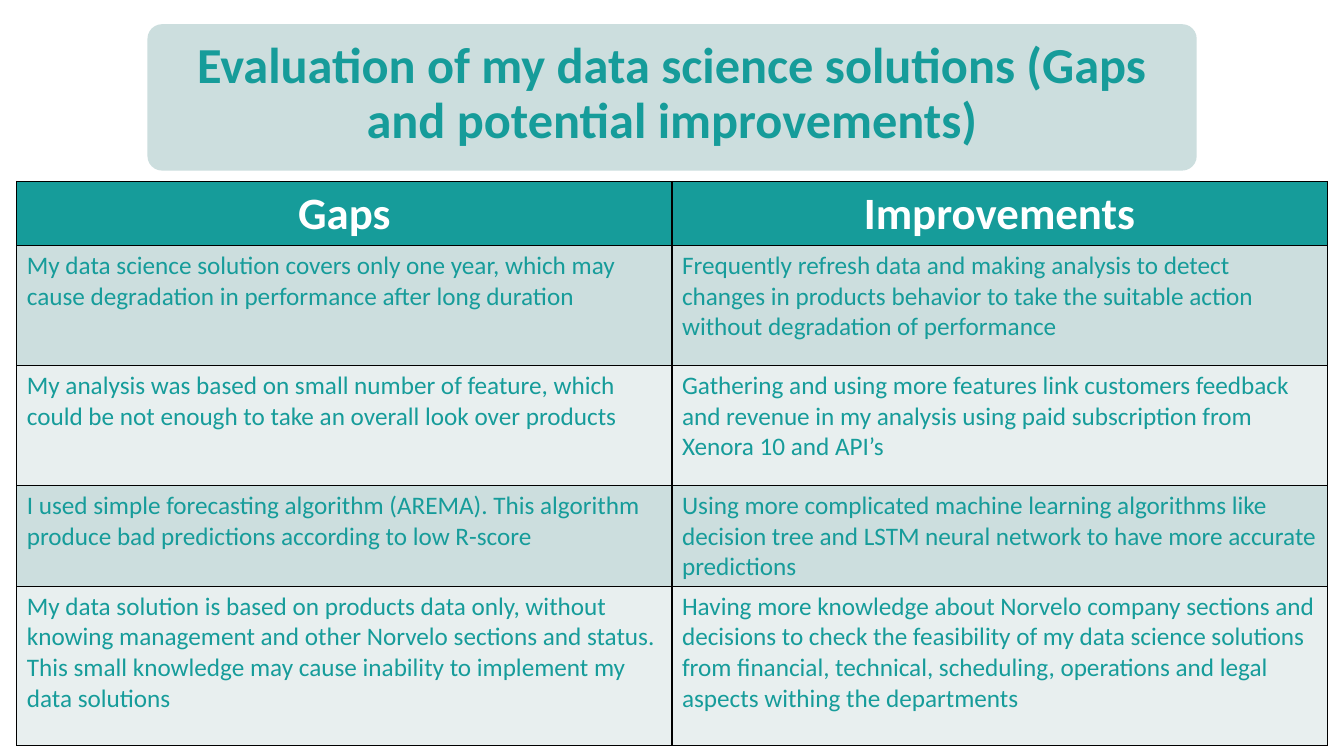
from lxml.etree import SubElement
from pptx import Presentation
from pptx.dml.color import RGBColor
from pptx.enum.shapes import MSO_SHAPE
from pptx.enum.text import MSO_ANCHOR, PP_ALIGN
from pptx.oxml.ns import qn
from pptx.util import Pt

TEAL, MIST, PALE = "169C9A", "CCDEDE", "E8EFEF"
WHITE, BLACK = "FFFFFF", "000000"

TITLE = "Evaluation of my data science solutions (Gaps and potential improvements)"
HEADINGS = ("Gaps", "Improvements")
FINDINGS = [
    ("My data science solution covers only one year, which may cause "
     "degradation in performance after long duration",
     "Frequently refresh data and making analysis to detect changes in products "
     "behavior to take the suitable action without degradation of performance"),
    ("My analysis was based on small number of feature, which could be not "
     "enough to take an overall look over products",
     "Gathering and using more features link customers feedback and revenue in "
     "my analysis using paid subscription from Xenora 10 and API’s"),
    ("I used simple forecasting algorithm (AREMA). This algorithm produce bad "
     "predictions according to low R-score",
     "Using more complicated machine learning algorithms like decision tree and "
     "LSTM neural network to have more accurate predictions"),
    ("My data solution is based on products data only, without knowing "
     "management and other Norvelo sections and status. This small knowledge "
     "may cause inability to implement my data solutions",
     "Having more knowledge about Norvelo company sections and decisions to "
     "check the feasibility of my data science solutions from financial, "
     "technical, scheduling, operations and legal aspects withing the departments"),
]
ROW_HEIGHTS = (45, 85.7, 85.7, 70.5, 113.8)


def color(value):
    return RGBColor.from_string(value)


class SlideBuilder:
    font_name = "Calibri"

    def __init__(self, slide):
        self.slide = slide

    def add_text(self, frame, text, size, ink, bold=False, align=PP_ALIGN.LEFT, spacing=None):
        paragraph = frame.paragraphs[0]
        paragraph.alignment = align
        paragraph.line_spacing = spacing
        run = paragraph.add_run()
        run.text = text
        run.font.name = self.font_name
        run.font.size = Pt(size)
        run.font.bold = bold
        run.font.color.rgb = color(ink)

    def panel(self, left, top, width, height, fill, rounding):
        shape = self.slide.shapes.add_shape(
            MSO_SHAPE.ROUNDED_RECTANGLE, Pt(left), Pt(top), Pt(width), Pt(height))
        shape.adjustments[0] = rounding
        shape.shadow.inherit = False
        shape.fill.solid()
        shape.fill.fore_color.rgb = color(fill)
        shape.line.fill.background()

    def title(self, left, top, width, height, text):
        box = self.slide.shapes.add_textbox(Pt(left), Pt(top), Pt(width), Pt(height))
        frame = box.text_frame
        frame.word_wrap = True
        frame.vertical_anchor = MSO_ANCHOR.TOP
        self.add_text(frame, text, 36, TEAL, True, PP_ALIGN.CENTER, 0.9)

    def cell(self, cell, text, fill, **style):
        self.add_text(cell.text_frame, text, **style)
        # Borders come before the fill in the cell properties
        properties = cell._tc.get_or_add_tcPr()
        for side in ("a:lnL", "a:lnR", "a:lnT", "a:lnB"):
            border = SubElement(properties, qn(side), w=str(Pt(1)))
            solid = SubElement(border, qn("a:solidFill"))
            SubElement(solid, qn("a:srgbClr"), val=BLACK)
        cell.fill.solid()
        cell.fill.fore_color.rgb = color(fill)

    def table(self, left, top, width, row_heights, headings, rows):
        table = self.slide.shapes.add_table(
            len(rows) + 1, len(headings), Pt(left), Pt(top),
            Pt(width), Pt(sum(row_heights))).table
        for column in table.columns:
            column.width = Pt(width / len(headings))
        for row, height in zip(table.rows, row_heights):
            row.height = Pt(height)
        for index, text in enumerate(headings):
            self.cell(table.cell(0, index), text, TEAL, size=32, ink=WHITE,
                      bold=True, align=PP_ALIGN.CENTER)
        for number, texts in enumerate(rows, 1):
            fill = MIST if number % 2 else PALE
            for index, text in enumerate(texts):
                self.cell(table.cell(number, index), text, fill, size=18, ink=TEAL)


def main():
    presentation = Presentation()
    presentation.slide_width = Pt(960)
    presentation.slide_height = Pt(540)
    builder = SlideBuilder(presentation.slides.add_slide(presentation.slide_layouts[6]))

    # Title on its rounded panel
    builder.panel(105.3, 17.3, 749.5, 104.6, MIST, 0.1)
    builder.title(105.3, 25.2, 749.5, 88.6, TITLE)

    # Gaps and improvements
    builder.table(12, 129.6, 936, ROW_HEIGHTS, HEADINGS, FINDINGS)

    presentation.save("out.pptx")


if __name__ == "__main__":
    main()
